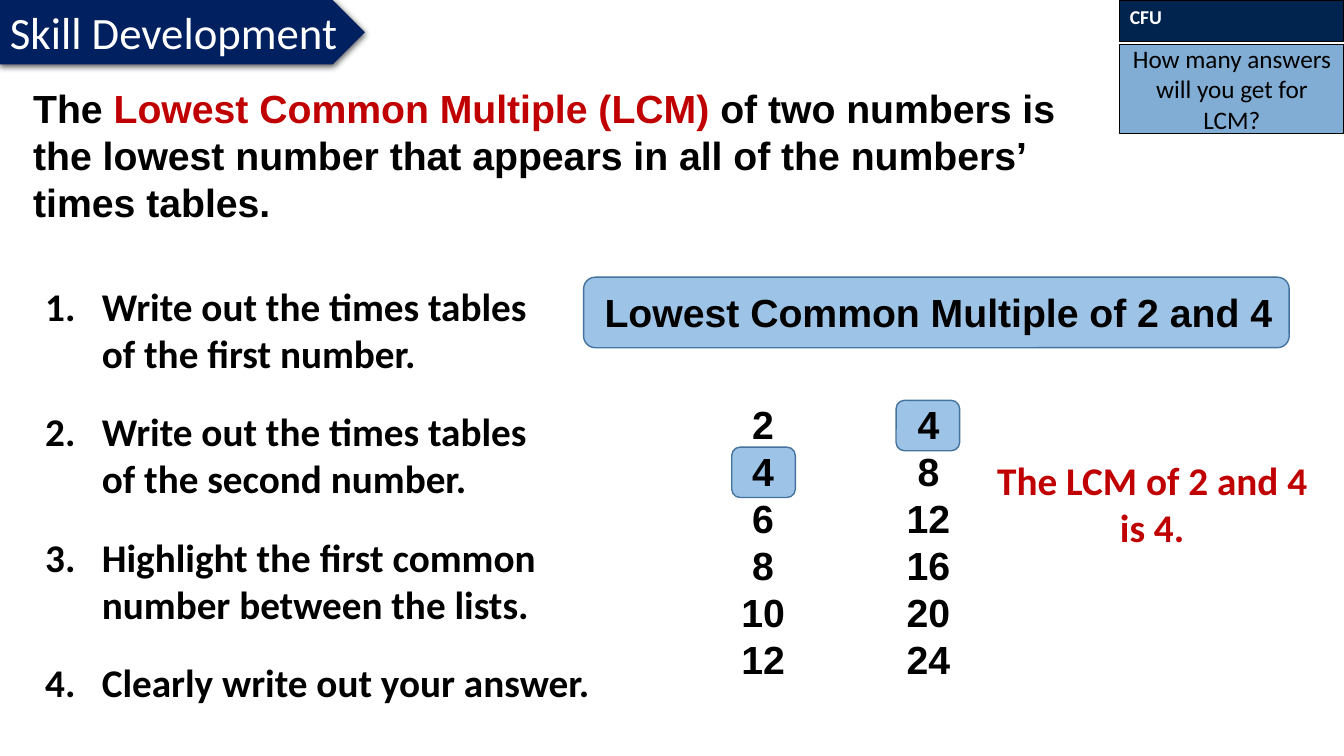
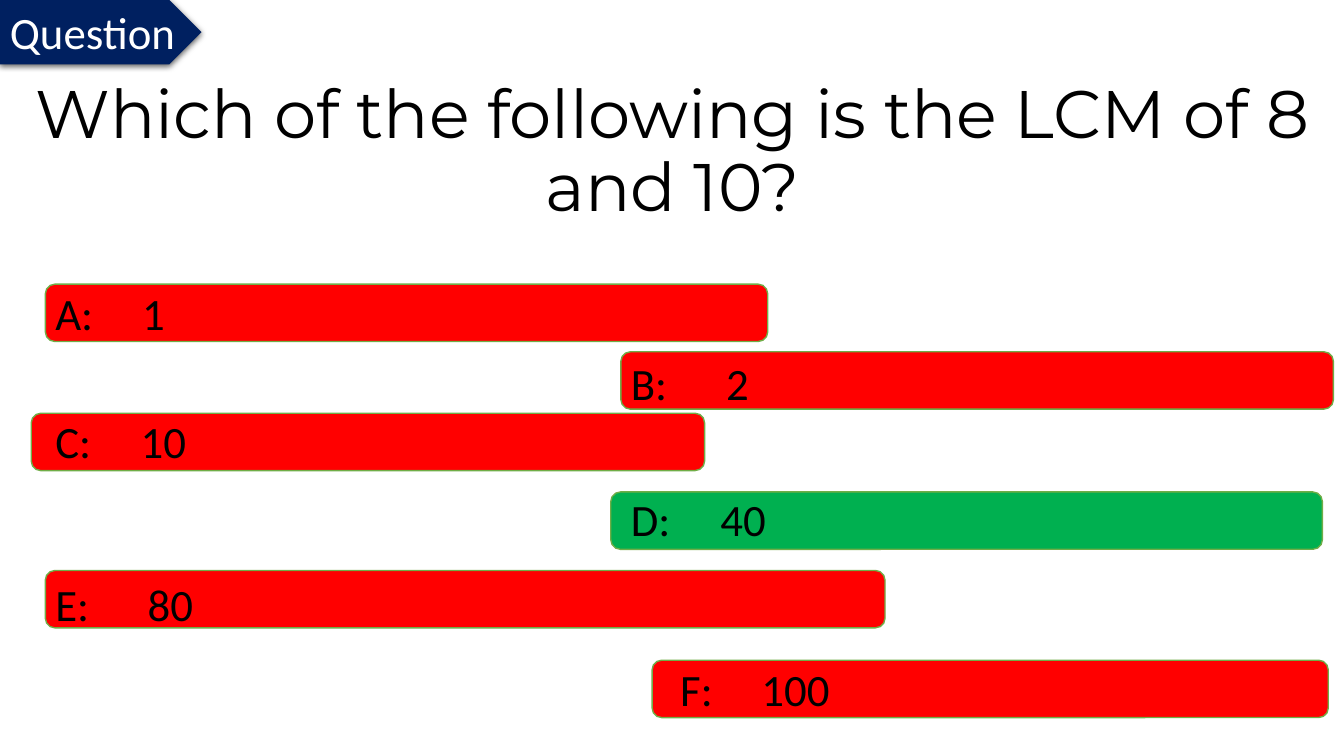
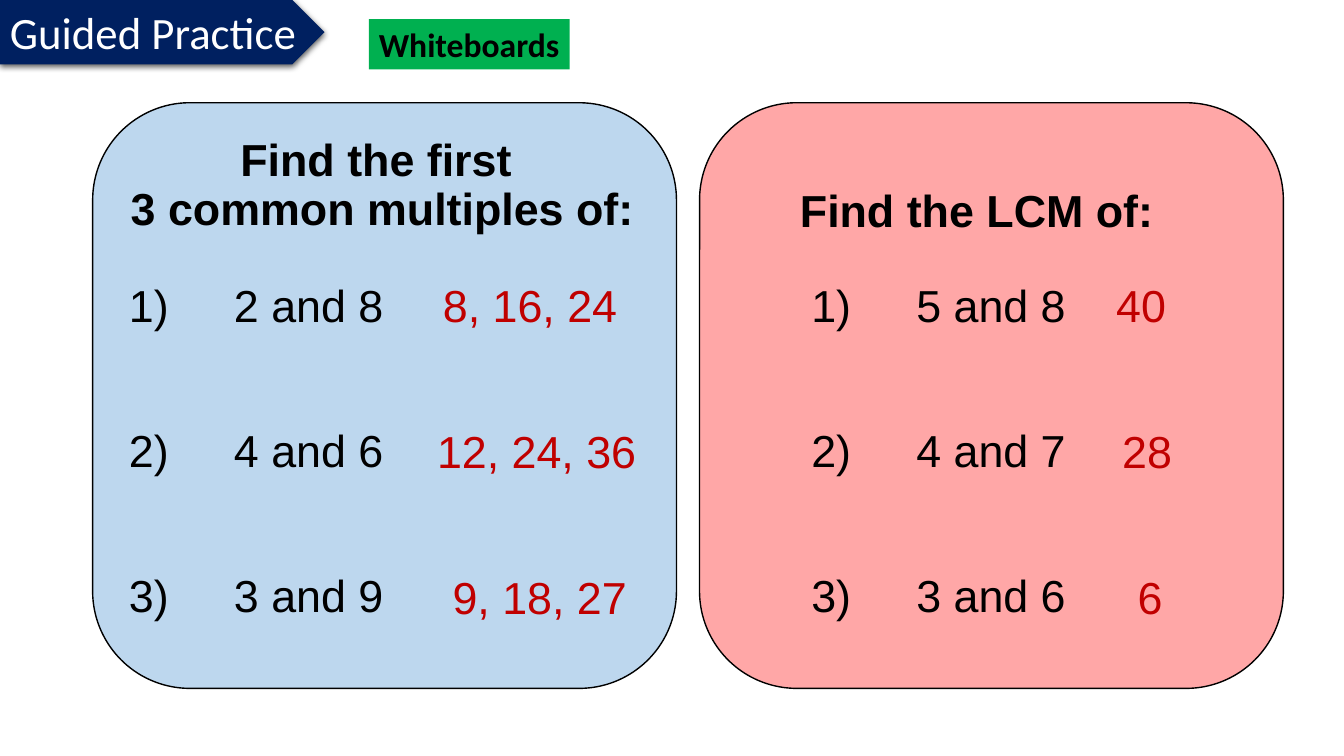
from dataclasses import dataclass

from lxml import etree
from pptx import Presentation
from pptx.dml.color import RGBColor
from pptx.enum.shapes import MSO_SHAPE
from pptx.enum.text import MSO_ANCHOR, MSO_AUTO_SIZE, PP_ALIGN
from pptx.oxml.ns import qn
from pptx.util import Pt

RECT = MSO_SHAPE.RECTANGLE
ROUND = MSO_SHAPE.ROUNDED_RECTANGLE
ARROW = MSO_SHAPE.PENTAGON
LEFT = PP_ALIGN.LEFT
CENTER = PP_ALIGN.CENTER
MIDDLE = MSO_ANCHOR.MIDDLE
GROW = MSO_AUTO_SIZE.SHAPE_TO_FIT_TEXT


@dataclass(frozen=True)
class Theme:
    body: str = "Calibri"
    maths: str = "Arial"
    question: str = "Montserrat"
    black: str = "000000"
    white: str = "FFFFFF"
    navy: str = "002060"
    cfu_head: str = "01244E"
    cfu_body: str = "2E75B6"
    highlight: str = "9DC3E6"
    highlight_line: str = "43739E"
    answer: str = "C00000"
    wrong: str = "FF0000"
    right: str = "00B050"
    bar_line: str = "70AD47"
    blue_panel: str = "BDD7EE"
    pink_panel: str = "FFA7A7"
    tiny: int = 14
    small: int = 18
    label: int = 24
    text: int = 28
    large: int = 32
    huge: int = 48


T = Theme()


def add_xml(parent, tag, **attrs):
    return etree.SubElement(parent, qn(tag), {k: str(v) for k, v in attrs.items()})


def write(tf, *paragraphs, size=T.text, font=T.body, color=T.black, bold=False,
          align=LEFT, spacing=None, gap=0, hang=0, number=None, start=1, tab=None):
    for i, runs in enumerate(paragraphs):
        p = tf.add_paragraph() if i else tf.paragraphs[0]
        pPr = p._p.get_or_add_pPr()
        if number:
            pPr.set("marL", str(Pt(hang)))
            pPr.set("indent", str(-Pt(hang)))
            add_xml(pPr, "a:buAutoNum", type=number, startAt=start)
        if tab:
            add_xml(add_xml(pPr, "a:tabLst"), "a:tab", pos=Pt(tab), algn="l")
        p.alignment = align
        if spacing:
            p.line_spacing = spacing
        if gap and i:
            p.space_before = Pt(gap)
        for text, run_color in [(runs, color)] if isinstance(runs, str) else runs:
            r = p.add_run()
            r.text = text
            r.font.size = Pt(size)
            r.font.name = font
            r.font.bold = bold
            r.font.color.rgb = RGBColor.from_string(run_color)


def add_text(s, x, y, w, h, *paragraphs, **fmt):
    tf = s.shapes.add_textbox(Pt(x), Pt(y), Pt(w), Pt(h)).text_frame
    tf.word_wrap = True
    write(tf, *paragraphs, **fmt)


def add_box(s, kind, x, y, w, h, fill, line=None, line_width=1):
    sp = s.shapes.add_shape(kind, Pt(x), Pt(y), Pt(w), Pt(h))
    sp.shadow.inherit = False
    sp.fill.solid()
    sp.fill.fore_color.rgb = RGBColor.from_string(fill)
    if line:
        sp.line.color.rgb = RGBColor.from_string(line)
        sp.line.width = Pt(line_width)
    else:
        sp.line.fill.background()
    sp.text_frame.vertical_anchor = MSO_ANCHOR.TOP
    return sp


def add_banner(s, title, width):
    sp = add_box(s, ARROW, 0, 0, width, 46, T.navy)
    effects = sp.element.spPr.find(qn("a:effectLst"))
    shadow = add_xml(effects, "a:outerShdw", blurRad=Pt(4.5), dist=Pt(1.5),
                     dir=5400000, algn="t", rotWithShape=0)
    add_xml(add_xml(shadow, "a:srgbClr", val=T.black), "a:alpha", val=63000)
    sp.text_frame.word_wrap = False
    sp.text_frame.auto_size = GROW
    write(sp.text_frame, title, size=T.large, color=T.white)


def add_cfu(s, question):
    x, w = 800, 160
    head = add_box(s, RECT, x, 0, w, 29.5, T.cfu_head, T.black, 0.75)
    write(head.text_frame, "CFU", size=T.tiny, color=T.white, bold=True)
    body = add_box(s, RECT, x, 31.7, w, 63.4, T.cfu_body, T.black, 0.75)
    add_xml(body.element.spPr.find(qn("a:solidFill"))[0], "a:alpha", val=60000)
    body.text_frame.vertical_anchor = MIDDLE
    write(body.text_frame, question, size=T.small, align=CENTER)


def add_highlight(s, x, y, w, h):
    add_box(s, ROUND, x, y, w, h, T.highlight, T.highlight_line)


def add_multiples(s, x, factor):
    add_text(s, x, 282.2, 147, 211, *[str(factor * n) for n in range(1, 7)],
             font=T.maths, bold=True, align=CENTER)


def add_answer_bar(s, letter, value, color, bar, label, tab):
    add_box(s, ROUND, *bar, 41, color, T.bar_line)
    add_text(s, *label, 300, 46, f"{letter}:\t{value}", size=T.large, tab=tab)


def add_panel(s, x, color, title_box, title, list_x, pairs, answers):
    style = dict(size=T.large, font=T.maths, spacing=0.9)
    top, pitch = 199.4, 104.3
    add_box(s, ROUND, x, 73.4, 417, 418.3, color, T.black)
    add_text(s, *title_box, 104.4, *title, bold=True, align=CENTER, **style)
    add_text(s, list_x, top, 351, 104.4, *pairs, number="arabicParenR",
             hang=75, gap=69, **style)
    for i, (answer_x, w, answer) in enumerate(answers):
        add_text(s, answer_x, top + i * pitch, w, 45.4, answer,
                 color=T.answer, align=CENTER, **style)


def skill_slide(s):
    add_highlight(s, 416.9, 198, 504, 50.4)
    add_text(s, 414, 202.3, 512.6, 41, "Lowest Common Multiple of 2 and 4",
             font=T.maths, bold=True, align=CENTER)
    add_text(s, 16.6, 56.9, 774, 108.7,
             [("The ", T.black), ("Lowest Common Multiple (LCM) ", T.answer),
              ("of two numbers is the lowest number that appears in all of "
               "the numbers’ times tables.", T.black)],
             font=T.maths, bold=True)
    steps = [
        ("Write out the times tables of the first number.", 360),
        ("Write out the times tables of the second number.", 367),
        ("Highlight the first common number between the lists.", 384),
        ("Clearly write out your answer.", 421),
    ]
    for i, (step, w) in enumerate(steps):
        add_text(s, 25.2, 198 + i * 89.6, w, 74.9 if i < 3 else 41, step, bold=True,
                 number="arabicPeriod", start=i + 1, hang=40.5)
    add_highlight(s, 522.7, 319.4, 45.4, 36)
    add_highlight(s, 640.1, 286, 45.4, 36)
    add_multiples(s, 471.6, 2)
    add_multiples(s, 589.7, 4)
    add_text(s, 694, 322.6, 257.8, 74.9, "The LCM of 2 and 4 is 4.",
             color=T.answer, bold=True, align=CENTER)
    add_cfu(s, "How many answers will you get for LCM?")
    add_banner(s, "Skill Development", 260.6)


def question_slide(s):
    add_text(s, 5.8, 54, 949, 104.4, "Which of the following is the LCM of 8 and 10?",
             size=T.huge, font=T.question, align=CENTER, spacing=0.9)
    add_banner(s, "Question", 144)
    for answer in [
        ("A", 1, T.wrong, (32.4, 203, 516), (32.4, 200.2), 62),
        ("B", 2, T.wrong, (443.5, 251.3, 509), (443.5, 250.6), 68),
        ("C", 10, T.wrong, (22.3, 295.2, 481), (32.4, 292.3), 61),
        ("D", 40, T.right, (436.3, 351.4, 508.3), (443.5, 347.8), 64),
        ("E", 80, T.wrong, (32.4, 407.5, 599.8), (32.4, 408.2), 66),
        ("F", 100, T.wrong, (465.8, 471.6, 483), (478.8, 469.4), 58),
    ]:
        add_answer_bar(s, *answer)


def practice_slide(s):
    add_panel(s, 66.2, T.blue_panel, (82, 95, 382.3),
              ["Find the first ", "3 common multiples of:"],
              85, ["2 and 8", "4 and 6", "3 and 9"],
              [(302.4, 152.6, "8, 16, 24"), (302.4, 162, "12, 24, 36"),
               (304.6, 162, "9, 18, 27")])
    add_panel(s, 499.7, T.pink_panel, (522, 131, 351.4), ["Find the LCM of:"],
              572.4, ["5 and 8", "4 and 7", "3 and 6"],
              [(773.3, 83.5, "40"), (777.6, 83.5, "28"), (779.8, 83.5, "6")])
    add_banner(s, "Guided Practice", 231.8)
    board = add_box(s, RECT, 263.5, 13.7, 143.5, 36, T.right)
    write(board.text_frame, "Whiteboards", size=T.label, bold=True)


def main():
    prs = Presentation()
    prs.slide_width = Pt(960)
    prs.slide_height = Pt(540)
    for build in (skill_slide, question_slide, practice_slide):
        build(prs.slides.add_slide(prs.slide_layouts[6]))
    prs.save("out.pptx")


if __name__ == "__main__":
    main()
